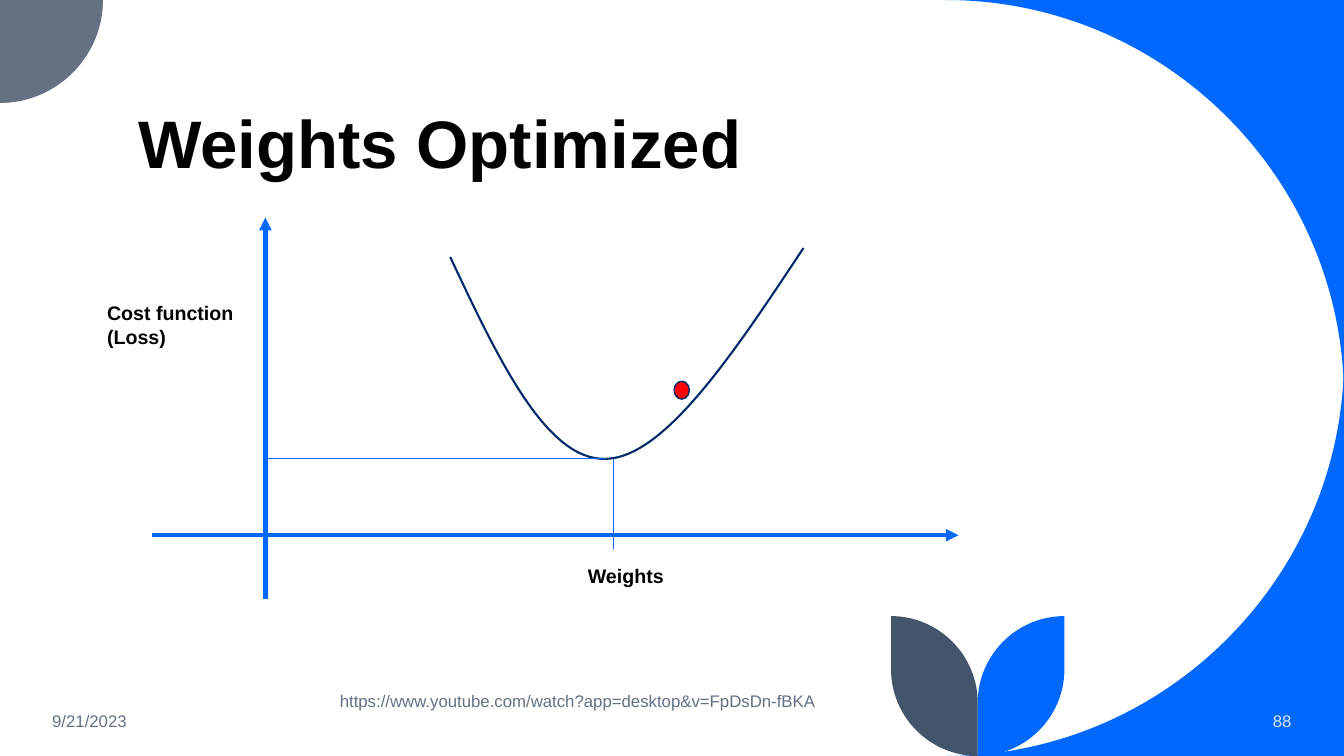
from collections import namedtuple

from lxml.etree import SubElement
from pptx import Presentation
from pptx.dml.color import RGBColor
from pptx.enum.shapes import MSO_CONNECTOR, MSO_SHAPE
from pptx.enum.text import MSO_ANCHOR, MSO_AUTO_SIZE, PP_ALIGN
from pptx.oxml.ns import qn
from pptx.util import Pt

Box = namedtuple("Box", "left top width height")
Curve = namedtuple("Curve", "pull_start pull_end end")

BLUE, NAVY, SLATE, GREY = "0068FF", "002B6B", "44546A", "637183"
BLACK, RED, PALE = "000000", "FF0000", "DAE5EF"
PAGE_WIDTH, PAGE_HEIGHT = 960, 540
ROUND = 0.55  # pull of a curve that makes a quarter circle


def color(value):
    return RGBColor.from_string(value)


def place(shape, box):
    shape.left, shape.top, shape.width, shape.height = (Pt(length) for length in box)


def quarter(start, corner, end):
    """Quarter circle from start to end, bulging towards corner."""
    pulls = [tuple(a + ROUND * (c - a) for a, c in zip(point, corner))
             for point in (start, end)]
    return Curve(*pulls, end)


def add_outline(page, start, steps, fill=None, line=None, width=1.5):
    """Steps are points or curves; filled outlines are closed, others stay open."""
    points = []
    for step in steps:
        points.extend(step if isinstance(step, Curve) else [step])
    builder = page.shapes.build_freeform(*(Pt(length) for length in start))
    builder.add_line_segments([(Pt(x), Pt(y)) for x, y in points], close=fill is not None)
    shape = builder.convert_to_shape()

    segments = iter(list(shape._element.iter(qn("a:lnTo"))))
    for step in steps:
        segment = next(segments)
        if isinstance(step, Curve):
            segment.tag = qn("a:cubicBezTo")
            for _ in range(2):
                extra = next(segments)
                segment.append(extra[0])
                extra.getparent().remove(extra)

    shape.shadow.inherit = False
    if fill:
        shape.fill.solid()
        shape.fill.fore_color.rgb = color(fill)
    else:
        shape.fill.background()
    if line:
        shape.line.color.rgb = color(line)
        shape.line.width = Pt(width)
    else:
        shape.line.fill.background()


def add_line(page, start, end, width=0.75, arrow=False):
    line = page.shapes.add_connector(
        MSO_CONNECTOR.STRAIGHT, *(Pt(length) for length in (*start, *end)))
    line.line.color.rgb = color(BLUE)
    line.line.width = Pt(width)
    if arrow:
        SubElement(line.line._get_or_add_ln(), qn("a:tailEnd"), type="triangle")
    SubElement(line._element.spPr, qn("a:effectLst"))


def write(frame, text, size, ink, bold=False, align=PP_ALIGN.LEFT):
    frame.word_wrap = True
    para = frame.paragraphs[0]
    para.alignment = align
    span = para.add_run()
    span.text = text
    span.font.name = "Arial"
    span.font.size = Pt(size)
    span.font.bold = bold
    span.font.color.rgb = color(ink)


def add_text(page, box, text, size, ink, bold=False, align=PP_ALIGN.LEFT,
             anchor=MSO_ANCHOR.TOP, fit=MSO_AUTO_SIZE.NONE):
    frame = page.shapes.add_textbox(*(Pt(length) for length in box)).text_frame
    frame.vertical_anchor = anchor
    write(frame, text, size, ink, bold, align)
    frame.auto_size = fit


def draw_leaf(page, box, fill, mirrored=False):
    near, far = box.left, box.left + box.width
    if mirrored:
        near, far = far, near
    top, bottom = box.top, box.top + box.height
    shoulder, hip = top + box.width, bottom - box.width
    add_outline(page, (near, top), [
        quarter((near, top), (far, top), (far, shoulder)),
        (far, bottom),
        quarter((far, bottom), (near, bottom), (near, hip)),
    ], fill)


def draw_background(page, box):
    right, bottom = box.left + box.width, box.top + box.height
    bend, round_corner = 284.4, 73.6
    for edge, middle in ((box.top, box.top + bend), (bottom, bottom - bend)):
        tip, corner, side = (right - bend, edge), (right, edge), (right, middle)
        add_outline(page, corner, [tip, quarter(tip, corner, side)], BLUE)

    across = (box.left + round_corner, box.top)
    down = (box.left, box.top + round_corner)
    bulge = (across[0], down[1])
    add_outline(page, (box.left, box.top), [across, quarter(across, bulge, down)], GREY)

    leaf_width, leaf_height, stem = 61.9, 99.9, 698.4
    leaf_top = bottom - leaf_height
    draw_leaf(page, Box(stem, leaf_top, leaf_width, leaf_height), BLUE, mirrored=True)
    draw_leaf(page, Box(stem - leaf_width, leaf_top, leaf_width, leaf_height), SLATE)


def draw_title(page, box):
    title = page.shapes.title
    place(title, box)
    frame = title.text_frame
    frame.auto_size = MSO_AUTO_SIZE.NONE
    frame.vertical_anchor = MSO_ANCHOR.BOTTOM
    write(frame, "Weights Optimized", 48, BLACK, bold=True)
    frame.paragraphs[0].line_spacing = 0.9


def draw_footer(page, box):
    link = "https://www.youtube.com/watch?app=desktop&v=FpDsDn-fBKA"
    for left, top, width, text, ink, align in (
            (0, 14.4, 216, "9/21/2023", GREY, PP_ALIGN.LEFT),
            (193, 0, 379.2, link, GREY, PP_ALIGN.CENTER),
            (769, 14.4, 130.5, "88", PALE, PP_ALIGN.RIGHT)):
        add_text(page, Box(box.left + left, box.top + top, width, 28.8),
                 text, 12, ink, align=align, anchor=MSO_ANCHOR.MIDDLE)


def draw_loss_curve(page, box):
    def at(x, y):
        return box.left + x, box.top + y

    axis_x, axis_y = 120.2, 226.8
    minimum = at(363.2, 172.3)
    add_line(page, at(axis_x, box.height), at(axis_x, 0), 3, arrow=True)
    add_line(page, at(39.4, axis_y), at(box.width, axis_y), 3, arrow=True)

    for corner, height, text in (((0, 55.9), 41, "Cost function (Loss)"),
                                 ((343.4, 243.8), 24.5, "Weights")):
        add_text(page, Box(*at(*corner), 113, height), text, 14, BLACK, bold=True,
                 fit=MSO_AUTO_SIZE.SHAPE_TO_FIT_TEXT)

    add_outline(page, at(252.2, 28.1), [
        Curve(at(286.4, 101), at(320.9, 173.7), minimum),
        Curve(at(405.2, 171.6), at(454.9, 96.6), at(504.5, 21.7)),
    ], line=NAVY)
    add_line(page, minimum, at(axis_x, 172.3))

    ball = page.shapes.add_shape(
        MSO_SHAPE.OVAL, *(Pt(length) for length in (*at(412.1, 116.8), 10.9, 12.8)))
    ball.shadow.inherit = False
    ball.fill.solid()
    ball.fill.fore_color.rgb = color(RED)
    ball.line.color.rgb = color(NAVY)
    ball.line.width = Pt(1)
    add_line(page, at(368.6, 236.5), at(368.6, 172.3))


def main():
    deck = Presentation()
    deck.slide_width, deck.slide_height = Pt(PAGE_WIDTH), Pt(PAGE_HEIGHT)
    page = deck.slides.add_slide(deck.slide_layouts[5])
    draw_background(page, Box(0, 0, PAGE_WIDTH, PAGE_HEIGHT))
    draw_title(page, Box(91.6, 30.2, 769.7, 104.4))
    draw_footer(page, Box(30.2, 486, 899.5, 43.2))
    draw_loss_curve(page, Box(69.4, 155.5, 615.3, 272.2))
    deck.save("out.pptx")


if __name__ == "__main__":
    main()
